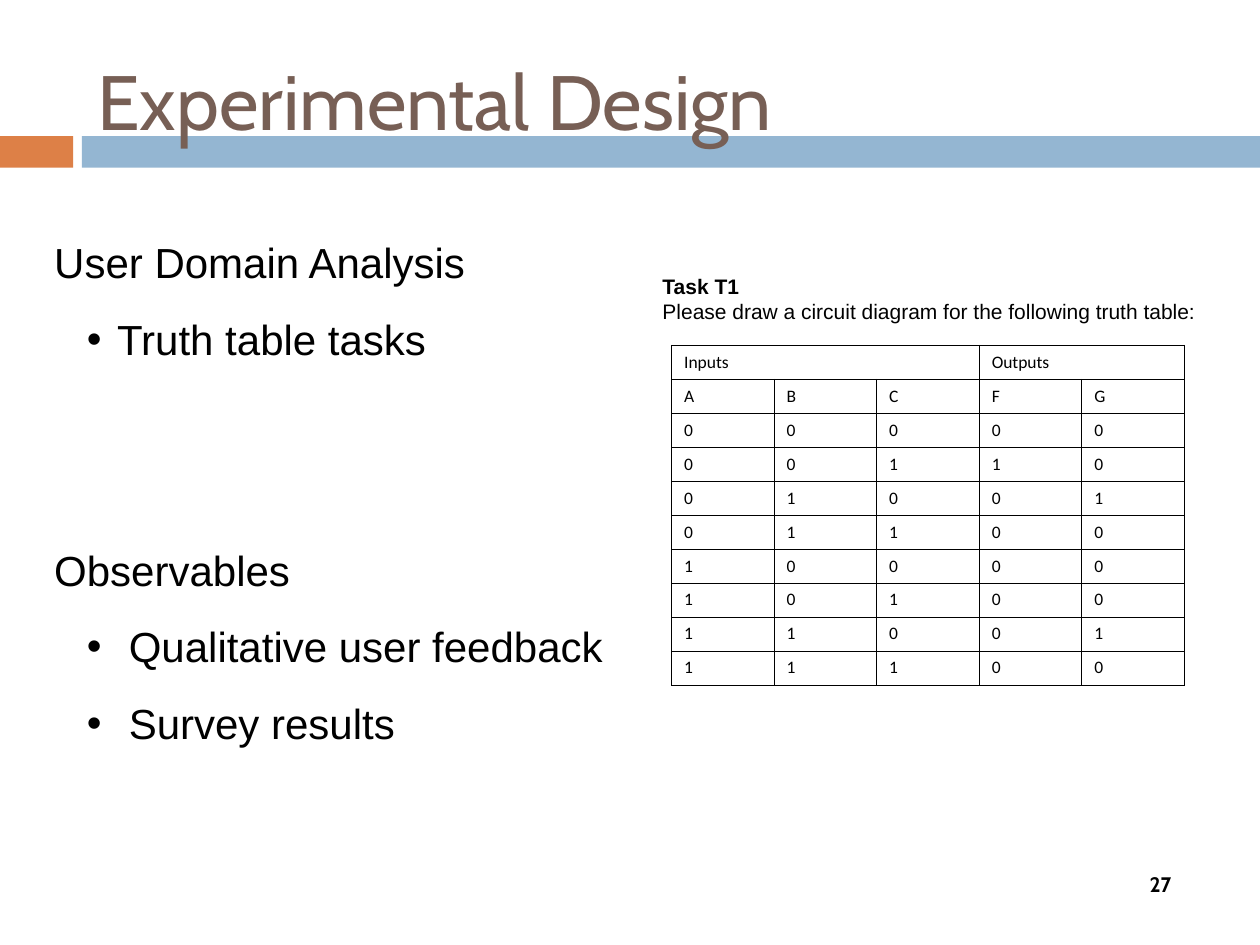
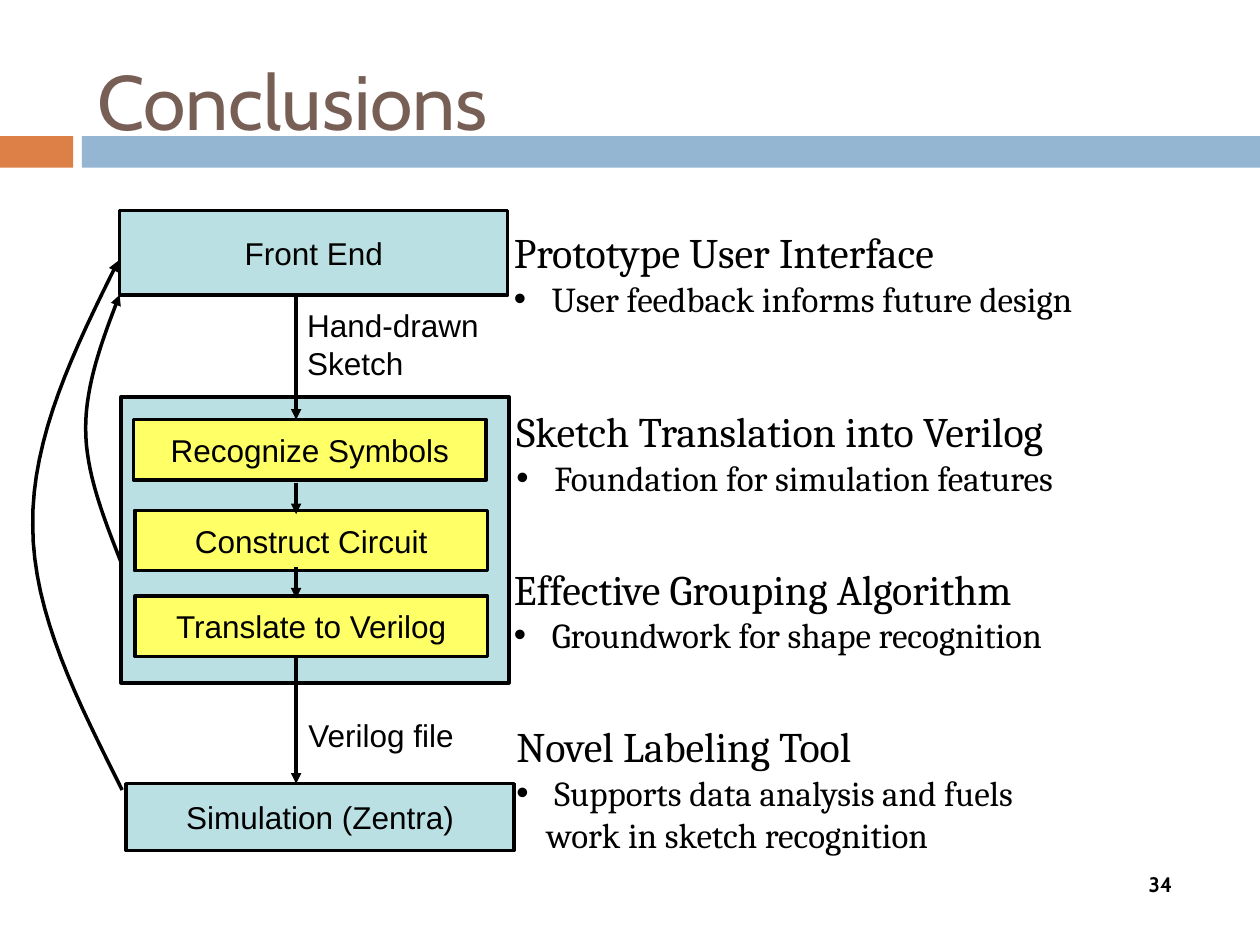
import lxml.etree
import pptx
import pptx.dml.color
import pptx.enum.shapes
import pptx.enum.text
import pptx.oxml.ns
import pptx.util

ALIGN = pptx.enum.text.PP_ALIGN
ANCHOR = pptx.enum.text.MSO_ANCHOR
RECTANGLE = pptx.enum.shapes.MSO_SHAPE.RECTANGLE
STRAIGHT = pptx.enum.shapes.MSO_CONNECTOR.STRAIGHT
qn = pptx.oxml.ns.qn

# ---- Shared style ----
WIDTH, HEIGHT = 10, 7.5
BLACK, BROWN, ORANGE, BLUE = "000000", "775F55", "DD8047", "94B6D2"
TEAL, YELLOW = "BBE0E3", "FFFF66"
BANDS = [(0, 0.58, ORANGE), (0.65, WIDTH - 0.65, BLUE)]  # left, width, colour
BAND_TOP, BAND_HEIGHT = 1.08, 0.25
TITLE_AREA = (0.67, 0.25, 8.92, 1.08)
NUMBER_AREA = (8.92, 6.9, 0.58, 0.27)

# ---- Content: experimental design ----
BULLET = dict(level=1, margin=0.5, indent=-0.24, bullet="•")
DESIGN_POINTS = [
    ("User Domain Analysis", dict(before=0)),
    ("Truth table tasks", BULLET),
    ("Observables", dict(before=103)),
    (" Qualitative user feedback", BULLET),
    (" Survey results", BULLET),
]
TASK = [
    ("Task T1", dict(bold=True)),
    ("Please draw a circuit diagram for the following truth table:", {}),
]
TRUTH_GROUPS = [("Inputs", 3), ("Outputs", 2)]  # heading, columns spanned
TRUTH_ROWS = ["ABCFG", "00000", "00110", "01001", "01100",
              "10000", "10100", "11001", "11100"]
TRUTH_LEFT, TRUTH_TOP, TRUTH_WIDTH, TRUTH_ROW = 5.33, 2.74, 4.07, 0.27

# ---- Content: conclusions ----
STAGES = [  # label, left, top, height
    ("Front End", 0.95, 1.67, 0.67),
    ("", 0.96, 3.15, 2.27),
    ("Simulation (Zentra)", 1, 6.22, 0.53),
]
STEPS = [  # label, left, top
    ("Recognize Symbols", 1.06, 3.33),
    ("Construct Circuit", 1.07, 4.05),
    ("Translate to Verilog", 1.07, 4.73),
]
STAGE_WIDTH, STEP_WIDTH, STEP_HEIGHT = 3.08, 2.8, 0.48
FLOW_X = 2.35
FLOW_ARROWS = [(2.33, 3.33), (3.83, 4.08), (4.5, 4.75), (5.21, 6.22)]
FLOW_LABELS = [
    (["Hand-drawn", "Sketch"], (2.34, 2.38, 1.63, 0.7)),
    (["Verilog file"], (2.35, 5.63, 1.36, 0.4)),
]
FEEDBACK_CURVES = [  # start, then two cubic segments of three points
    [(0.97, 6.27), (0.62, 5.57), (0.26, 4.87), (0.26, 4.17),
     (0.25, 3.47), (0.59, 2.77), (0.94, 2.07)],
    [(0.96, 4.46), (0.82, 4.1), (0.68, 3.75), (0.68, 3.4),
     (0.68, 3.05), (0.81, 2.7), (0.95, 2.34)],
]
CONCLUSIONS = [  # heading, detail, left, top, height
    ("Prototype User Interface",
     " User feedback informs future design", 3.98, 1.75, 0.84),
    ("Sketch Translation into Verilog",
     " Foundation for simulation features", 4, 3.17, 0.84),
    ("Effective Grouping Algorithm",
     " Groundwork for shape recognition", 3.98, 4.42, 0.84),
    ("Novel Labeling Tool",
     " Supports data analysis and fuels \nwork in sketch recognition",
     4, 5.67, 1.17),
]


# ---- Helpers ----
def rgb(colour):
    return pptx.dml.color.RGBColor.from_string(colour)


def inches(*lengths):
    return [pptx.util.Inches(length) for length in lengths]


def add_xml(parent, tag, **attributes):
    return lxml.etree.SubElement(parent, qn(tag), attributes)


def write_paragraph(paragraph, text, size=18, font="Arial", colour=BLACK,
                    bold=False, align=ALIGN.LEFT, level=0, margin=0, indent=0,
                    bullet=None, before=0, spacing=1.0):
    paragraph.text = text
    paragraph.level = level
    properties = paragraph._p.get_or_add_pPr()
    properties.set("marL", str(pptx.util.Inches(margin)))
    properties.set("indent", str(pptx.util.Inches(indent)))
    if bullet:
        add_xml(properties, "a:buFont", typeface="Arial")
        add_xml(properties, "a:buChar", char=bullet)
    else:
        add_xml(properties, "a:buNone")
    paragraph.alignment = align
    paragraph.line_spacing = spacing
    paragraph.space_before = pptx.util.Pt(before)
    paragraph.space_after = pptx.util.Pt(0)
    for run in paragraph.runs:
        run.font.size = pptx.util.Pt(size)
        run.font.name = font
        run.font.bold = bold
        run.font.color.rgb = rgb(colour)


def write_text(frame, paragraphs, anchor=ANCHOR.TOP, wrap=True, **style):
    """Fill a frame with strings or (string, own format) pairs."""
    frame.word_wrap = wrap
    frame.auto_size = pptx.enum.text.MSO_AUTO_SIZE.NONE
    frame.vertical_anchor = anchor
    for index, item in enumerate(paragraphs):
        text, own = (item, {}) if isinstance(item, str) else item
        paragraph = frame.add_paragraph() if index else frame.paragraphs[0]
        write_paragraph(paragraph, text, **{**style, **own})


def add_text(slide, area, paragraphs, **style):
    box = slide.shapes.add_textbox(*inches(*area))
    write_text(box.text_frame, paragraphs, **style)


def place(shape, area):
    shape.left, shape.top, shape.width, shape.height = inches(*area)


def outline(shape, arrow=False):
    shape.line.color.rgb = rgb(BLACK)
    shape.line.width = pptx.util.Pt(2)
    if arrow:
        add_xml(shape.element.spPr.find(qn("a:ln")), "a:tailEnd", type="triangle")


def add_rectangle(slide, area, fill):
    rectangle = slide.shapes.add_shape(RECTANGLE, *inches(*area))
    rectangle.shadow.inherit = False
    rectangle.fill.solid()
    rectangle.fill.fore_color.rgb = rgb(fill)
    rectangle.line.fill.background()
    return rectangle


def add_box(slide, area, fill, label):
    box = add_rectangle(slide, area, fill)
    outline(box)
    if label:
        write_text(box.text_frame, [label], anchor=ANCHOR.MIDDLE, wrap=False,
                   align=ALIGN.CENTER)


def add_arrow(slide, x, top, bottom):
    arrow = slide.shapes.add_connector(STRAIGHT, *inches(x, top, x, bottom))
    outline(arrow, arrow=True)
    add_xml(arrow.element.spPr, "a:effectLst")


def cubic(points, t):
    weights = ((1 - t) ** 3, 3 * t * (1 - t) ** 2, 3 * t * t * (1 - t), t ** 3)
    return [sum(w * p[axis] for w, p in zip(weights, points))
            for axis in (0, 1)]


def add_curve(slide, points, steps=16):
    track = [inches(*cubic(points[first:first + 4], step / steps))
             for first in (0, 3) for step in range(1, steps + 1)]
    builder = slide.shapes.build_freeform(*inches(*points[0]))
    builder.add_line_segments(track, close=False)
    curve = builder.convert_to_shape()
    curve.shadow.inherit = False
    curve.fill.background()
    outline(curve, arrow=True)


def set_borders(cell):
    properties = cell._tc.get_or_add_tcPr()
    for position, side in enumerate(("a:lnL", "a:lnR", "a:lnT", "a:lnB")):
        line = lxml.etree.Element(qn(side), w=str(pptx.util.Pt(0.45)))
        add_xml(add_xml(line, "a:solidFill"), "a:srgbClr", val=BLACK)
        properties.insert(position, line)


# ---- Slides ----
def add_slide(deck, layout, title, number):
    slide = deck.slides.add_slide(deck.slide_layouts[layout])
    write_text(slide.shapes.title.text_frame, [title], anchor=ANCHOR.MIDDLE,
               size=44, font="Cabin", colour=BROWN)
    add_text(slide, NUMBER_AREA, [number], anchor=ANCHOR.MIDDLE, size=12,
             font="Cabin", bold=True, align=ALIGN.CENTER, spacing=0.8)
    return slide


def style_master(deck, slide):
    """Move the bands to the master and set the title area there."""
    master = deck.slide_master
    for left, width, colour in BANDS:
        band = add_rectangle(slide, (left, BAND_TOP, width, BAND_HEIGHT), colour)
        master.shapes.element.append(band.element)
    place(master.placeholders[0], TITLE_AREA)


def add_truth_table(slide):
    rows, columns = len(TRUTH_ROWS) + 1, len(TRUTH_ROWS[0])
    area = (TRUTH_LEFT, TRUTH_TOP, TRUTH_WIDTH, rows * TRUTH_ROW)
    table = slide.shapes.add_table(rows, columns, *inches(*area)).table
    table.first_row = table.horz_banding = False
    for row in range(rows):
        for column in range(columns):
            cell = table.cell(row, column)
            cell.fill.background()
            set_borders(cell)
            cell.margin_top = cell.margin_bottom = pptx.util.Inches(0.05)
            if row:
                write_paragraph(cell.text_frame.paragraphs[0],
                                TRUTH_ROWS[row - 1][column],
                                size=10, font="Calibri")
    start = 0
    for heading, span in TRUTH_GROUPS:
        cell = table.cell(0, start)
        cell.merge(table.cell(0, start + span - 1))
        write_paragraph(cell.text_frame.paragraphs[0], heading,
                        size=10, font="Calibri")
        start += span


def build_design(slide):
    points = slide.placeholders[1]
    place(points, (0.33, 1.83, 9.33, 4.15))
    write_text(points.text_frame, DESIGN_POINTS, size=24, before=15)
    add_text(slide, (5.16, 2.12, 4.43, 0.7), TASK, size=12, wrap=False)
    add_truth_table(slide)


def build_conclusions(slide):
    # Stages and steps of the system
    for label, left, top, height in STAGES:
        add_box(slide, (left, top, STAGE_WIDTH, height), TEAL, label)
    for label, left, top in STEPS:
        add_box(slide, (left, top, STEP_WIDTH, STEP_HEIGHT), YELLOW, label)

    # Flow down and feedback up
    for top, bottom in FLOW_ARROWS:
        add_arrow(slide, FLOW_X, top, bottom)
    for points in FEEDBACK_CURVES:
        add_curve(slide, points)
    for lines, area in FLOW_LABELS:
        add_text(slide, area, lines, wrap=False)

    # Findings beside the system
    for heading, detail, left, top, height in CONCLUSIONS:
        add_text(slide, (left, top, WIDTH - left - 0.2, height),
                 [(heading, dict(size=24)),
                  (detail, dict(size=20, bullet="•", margin=0.24, indent=-0.24))],
                 font="Cambria")


def main():
    deck = pptx.Presentation()
    deck.slide_width, deck.slide_height = inches(WIDTH, HEIGHT)
    design = add_slide(deck, 1, "Experimental Design", "27")
    style_master(deck, design)
    build_design(design)
    build_conclusions(add_slide(deck, 5, "Conclusions", "34"))
    deck.save("out.pptx")


if __name__ == "__main__":
    main()
